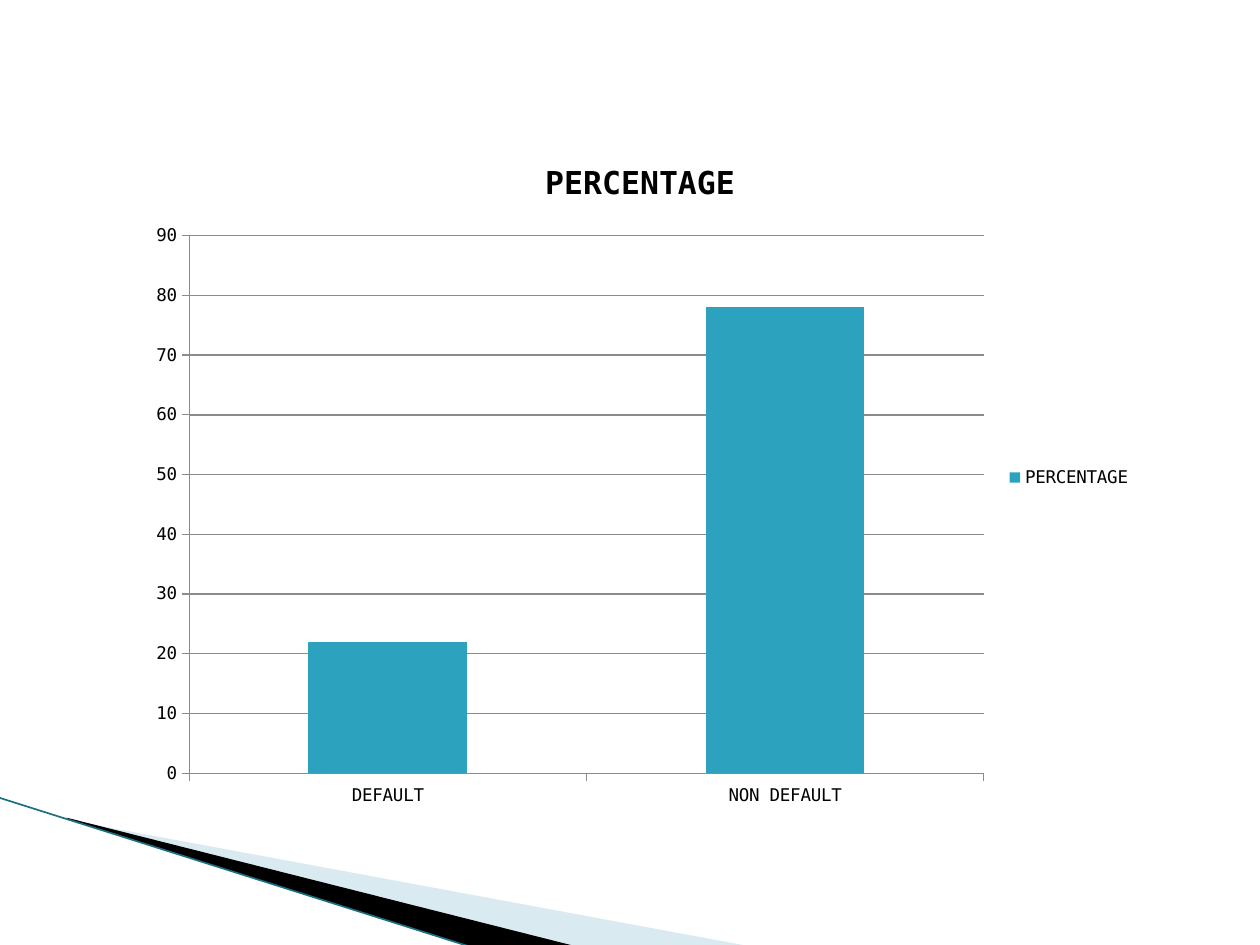
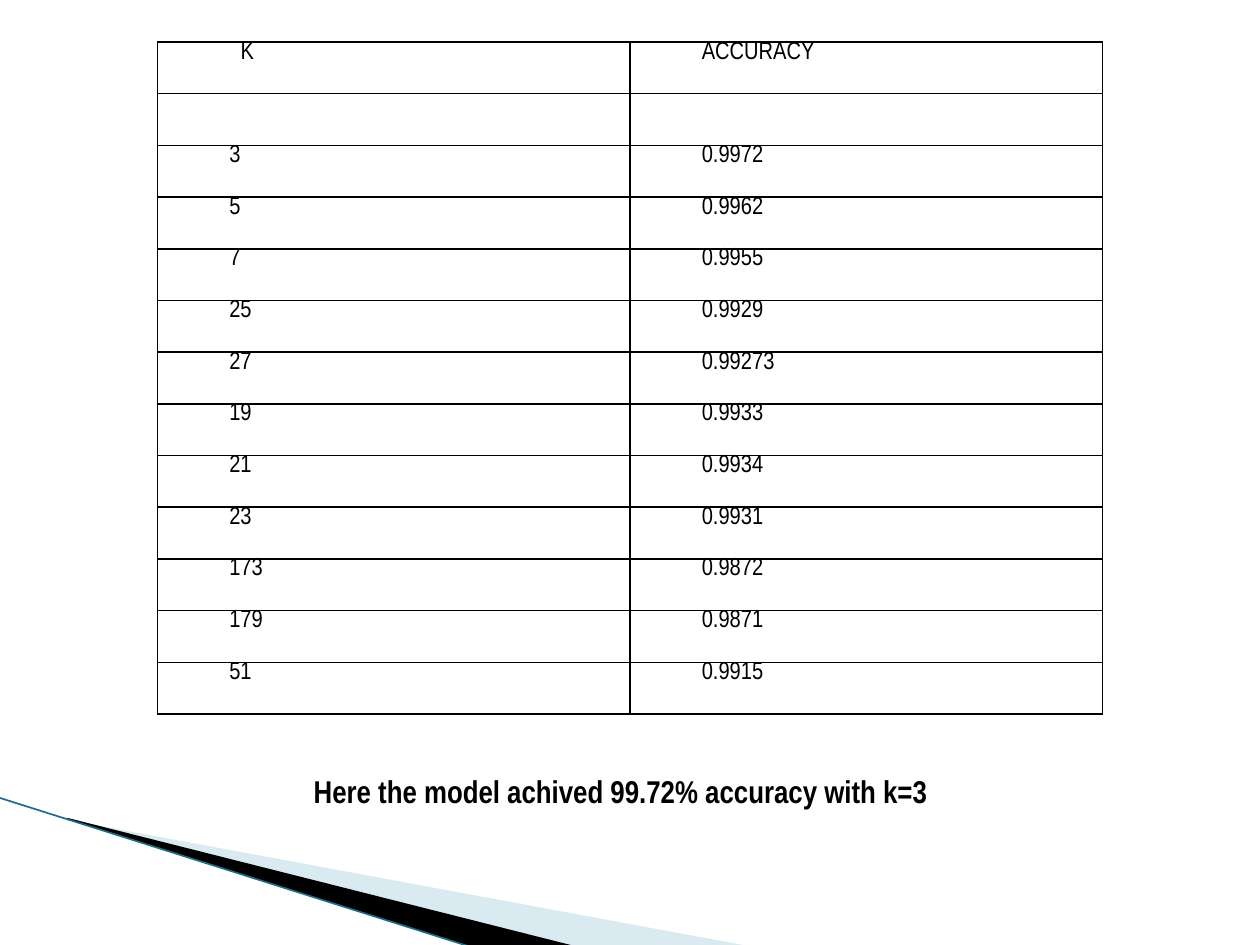
from pptx import Presentation
from pptx.chart.data import CategoryChartData as ChartData
from pptx.dml.color import RGBColor
from pptx.enum.chart import XL_CHART_TYPE as Kind, XL_LEGEND_POSITION as Spot
from pptx.enum.chart import XL_TICK_MARK as Tick
from pptx.enum.shapes import MSO_CONNECTOR as Link
from pptx.enum.text import PP_ALIGN as Align
from pptx.oxml.ns import qn
from pptx.util import Inches, Pt
from lxml.etree import SubElement

NARROW, MONO = "Arial Narrow", "DejaVu Sans Mono"
BLACK, GREY, TEAL = "000000", "8B8B8B", "2DA2BF"
PALE, EDGE = "A0CBDC", "1B6F84"
SCORES = [
    ("3", "0.9972"), ("5", "0.9962"), ("7", "0.9955"), ("25", "0.9929"),
    ("27", "0.99273"), ("19", "0.9933"), ("21", "0.9934"), ("23", "0.9931"),
    ("173", "0.9872"), ("179", "0.9871"), ("51", "0.9915"),
]


def color(code):
    return RGBColor.from_string(code)


def style(font, size, name, bold=False):
    font.size, font.name, font.bold = Pt(size), name, bold
    font.color.rgb = color(BLACK)


def write(frame, text, size=14, bold=False, align=None, indent=0, after=0,
          spacing=None):
    para = frame.paragraphs[0]
    para.alignment, para.space_after = align, Pt(after)
    para.line_spacing = spacing
    if indent:
        para._p.get_or_add_pPr().set("indent", str(Inches(indent)))
    run = para.add_run()
    run.text = text
    style(run.font, size, NARROW, bold)


def reframe(shape, box):
    """Give an outline a new frame while its points stay in place."""
    left, top, width, height = map(Inches, box)
    path = shape._element.spPr.find(".//" + qn("a:path"))
    for point in path.iter(qn("a:pt")):
        point.set("x", str(int(point.get("x")) + shape.left - left))
        point.set("y", str(int(point.get("y")) + shape.top - top))
    path.set("w", str(width))
    path.set("h", str(height))
    shape.left, shape.top, shape.width, shape.height = left, top, width, height


def wedge(slide, box, points, fill, alpha=None):
    spots = [(Inches(x), Inches(y)) for x, y in points]
    path = slide.shapes.build_freeform(*spots[0], scale=1.0)
    path.add_line_segments(spots[1:], close=True)
    shape = path.convert_to_shape()
    reframe(shape, box)
    shape.shadow.inherit = False
    shape.line.fill.background()
    shape.fill.solid()
    shape.fill.fore_color.rgb = color(fill)
    if alpha:
        tint = shape._element.spPr.find(qn("a:solidFill"))[0]
        SubElement(tint, qn("a:alpha")).set("val", str(alpha * 1000))


def corner(slide):
    """Swoosh in the lower left, shared by all slides."""
    wedge(slide, (0.78, 5.47, 4.16, 1.58),
          [(0.55, 6.51), (5.95, 7.51), (4.56, 7.51), (0.55, 6.5)],
          PALE, alpha=40)
    wedge(slide, (-0.06, 6.33, 4.16, 0.92),
          [(0.53, 6.49), (4.57, 7.51), (3.75, 7.52), (0.54, 6.5)], BLACK)
    line = slide.shapes.add_connector(
        Link.STRAIGHT, Inches(-0.01), Inches(6.33), Inches(3.72), Inches(7.51))
    line.line.color.rgb = color(EDGE)
    line.line.width = Pt(0.95)
    SubElement(line._element.spPr, qn("a:effectLst"))


def bars(slide, box):
    """Column chart of the default share."""
    data = ChartData(number_format="General")
    data.categories = ["DEFAULT", "NON DEFAULT"]
    data.add_series("PERCENTAGE", (22, 78))
    chart = slide.shapes.add_chart(
        Kind.COLUMN_STACKED, *map(Inches, box), data).chart
    style(chart.font, 10, MONO)

    # Title and legend
    chart.has_title = True
    frame = chart.chart_title.text_frame
    frame.text = "PERCENTAGE"
    style(frame.paragraphs[0].runs[0].font, 18, MONO, bold=True)
    chart.chart_title.include_in_layout = False
    chart.has_legend = True
    chart.legend.position = Spot.RIGHT
    chart.legend.include_in_layout = False

    # Columns
    plot = chart.plots[0]
    plot.gap_width, plot.overlap = 150, 100
    plot.vary_by_categories = False
    fill = plot.series[0].format.fill
    fill.solid()
    fill.fore_color.rgb = color(TEAL)

    # Axes and grid
    scale = chart.value_axis
    scale.minimum_scale, scale.maximum_scale, scale.major_unit = 0, 90, 10
    scale.has_major_gridlines = True
    for part in (scale, chart.category_axis, scale.major_gridlines):
        part.format.line.color.rgb = color(GREY)
        part.format.line.width = Pt(0.75)
    for axis in (scale, chart.category_axis):
        axis.major_tick_mark = Tick.OUTSIDE


def border(cell):
    props = cell._tc.get_or_add_tcPr()
    for side in ("a:lnL", "a:lnR", "a:lnT", "a:lnB"):
        line = SubElement(props, qn(side), w=str(Pt(1)))
        fill = SubElement(line, qn("a:solidFill"))
        SubElement(fill, qn("a:srgbClr"), val=BLACK)


def grid(slide, box):
    """Accuracy for each k, with a blank row below the header."""
    rows = [("K", "ACCURACY"), ("", "")] + SCORES
    table = slide.shapes.add_table(len(rows), 2, *map(Inches, box)).table
    table.first_row = table.horz_banding = False
    for row, texts in enumerate(rows):
        table.rows[row].height = Inches(box[3] / len(rows))
        for col, text in enumerate(texts):
            cell = table.cell(row, col)
            cell.margin_left = cell.margin_right = Inches(0.07)
            cell.margin_top = cell.margin_bottom = 0
            border(cell)
            cell.fill.background()
            if text:
                write(cell.text_frame, text, align=Align.JUSTIFY, after=6,
                      indent=0.59 if text == "K" else 0.5, spacing=0.92)


def remark(slide, box, text):
    frame = slide.shapes.add_textbox(*map(Inches, box)).text_frame
    frame.word_wrap = True
    frame.margin_left = Inches(0.16)
    write(frame, text, size=18, bold=True)


def main():
    deck = Presentation()
    deck.slide_width, deck.slide_height = Inches(10), Inches(7.5)
    share, score = [deck.slides.add_slide(deck.slide_layouts[6])
                    for _ in range(2)]
    for slide in (share, score):
        corner(slide)
    bars(share, (1.08, 1.08, 8, 5.42))
    grid(score, (1.25, 1 / 3, 7.5, 16 / 3))
    remark(score, (2.33, 6.08, 6, 0.4),
           "Here the model achived 99.72% accuracy with k=3")
    deck.save("out.pptx")


if __name__ == "__main__":
    main()
